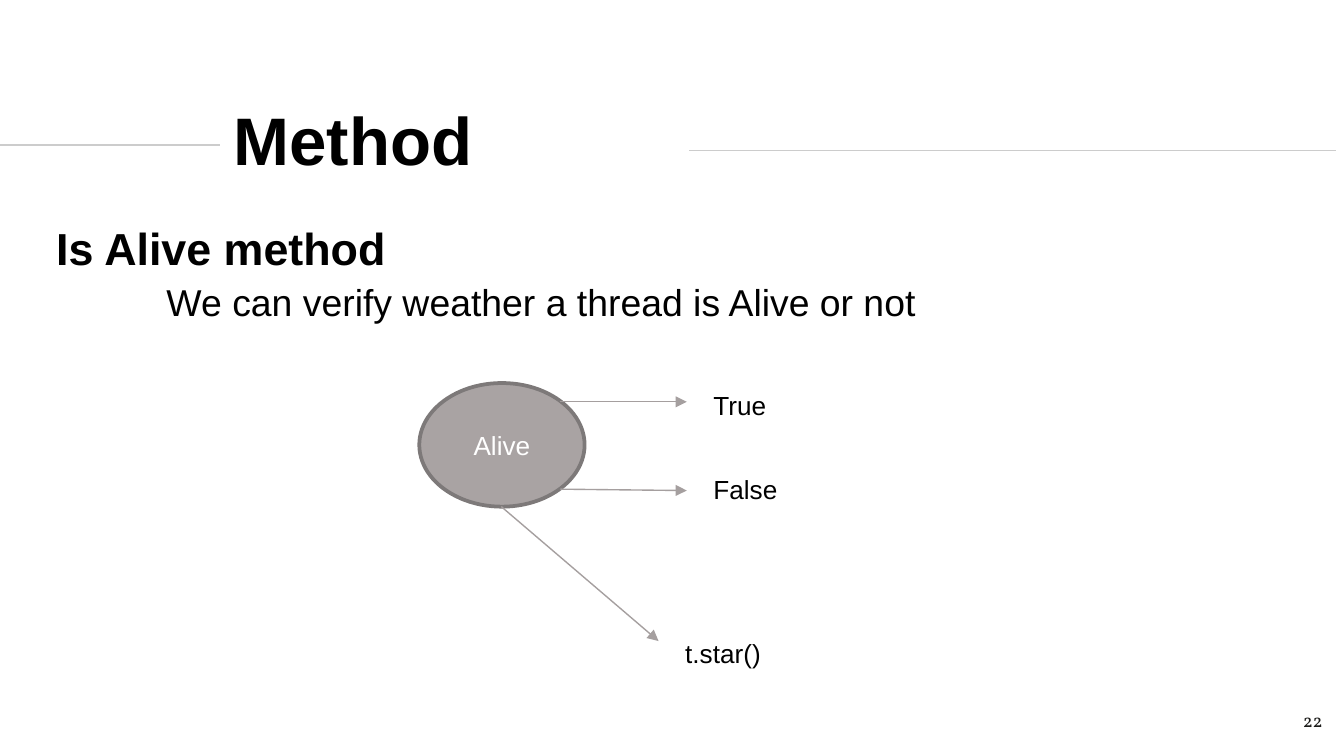
import pptx
import pptx.util
import pptx.dml.color
import pptx.enum.shapes
import pptx.enum.text
import pptx.oxml.ns
import lxml.etree
from pptx.util import Inches

RGBColor = pptx.dml.color.RGBColor
BLACK = RGBColor(0x00, 0x00, 0x00)
WHITE = RGBColor(0xFF, 0xFF, 0xFF)
NUMBER_INK = RGBColor(0x1D, 0x1D, 0x1B)
RULE_GREY = RGBColor(0xCC, 0xCC, 0xCC)
ARROW_GREY = RGBColor(0xA5, 0x9F, 0x9F)
OVAL_FILL = RGBColor(0xA9, 0xA3, 0xA3)
OVAL_LINE = RGBColor(0x7D, 0x79, 0x79)

ALIGN = pptx.enum.text.PP_ALIGN
ANCHOR = pptx.enum.text.MSO_ANCHOR


def write_text(shape, text, size, color=BLACK, bold=False, font="Arial",
               align=ALIGN.LEFT, anchor=ANCHOR.TOP, inset=0.05):
    """Fill a shape with one paragraph; inset is the top and bottom margin in inches."""
    frame = shape.text_frame
    frame.word_wrap = True
    frame.vertical_anchor = anchor
    frame.margin_top = frame.margin_bottom = Inches(inset)
    para = frame.paragraphs[0]
    para.text = text
    para.alignment = align
    para.font.name = font
    para.font.size = pptx.util.Pt(size)
    para.font.bold = bold
    para.font.color.rgb = color


def add_line(start_x, start_y, end_x, end_y, color, arrow=False):
    line = slide.shapes.add_connector(
        pptx.enum.shapes.MSO_CONNECTOR.STRAIGHT,
        Inches(start_x), Inches(start_y), Inches(end_x), Inches(end_y))
    line.line.color.rgb = color
    line.line.width = pptx.util.Pt(0.75)
    if arrow:
        lxml.etree.SubElement(line.line._get_or_add_ln(),
                              pptx.oxml.ns.qn("a:tailEnd"), type="triangle")
    lxml.etree.SubElement(line._element.spPr, pptx.oxml.ns.qn("a:effectLst"))


deck = pptx.Presentation()
deck.slide_width = Inches(10)
deck.slide_height = Inches(10 * 9 / 16)
slide = deck.slides.add_slide(deck.slide_layouts[6])

# Rules on either side of the title
add_line(0, 1.08, 1.64, 1.08, RULE_GREY)
add_line(5.13, 1.12, 9.94, 1.12, RULE_GREY)

# Page number, title and body text
number_box = slide.shapes.add_textbox(Inches(9.34), Inches(5.19), Inches(0.6), Inches(0.43))
write_text(number_box, "22", 10, NUMBER_INK, font="Vollkorn", align=ALIGN.RIGHT, inset=0.12)

heading_box = slide.shapes.add_textbox(Inches(0.32), Inches(1.59), Inches(3.03), Inches(0.5))
write_text(heading_box, "Is Alive method", 24, bold=True)

title_box = slide.shapes.add_textbox(Inches(1.64), Inches(0.79), Inches(4.24), Inches(0.48))
write_text(title_box, "Method", 36, bold=True, anchor=ANCHOR.MIDDLE, inset=0.1)

body_box = slide.shapes.add_textbox(Inches(1.14), Inches(2.03), Inches(6.45), Inches(0.44))
write_text(body_box, "We can verify weather a thread is Alive or not", 20)

# Thread state diagram
oval = slide.shapes.add_shape(pptx.enum.shapes.MSO_SHAPE.OVAL,
                              Inches(3.12), Inches(2.85), Inches(1.23), Inches(0.92))
oval.shadow.inherit = False
oval.fill.solid()
oval.fill.fore_color.rgb = OVAL_FILL
oval.line.color.rgb = OVAL_LINE
oval.line.width = pptx.util.Pt(2)
write_text(oval, "Alive", 14, WHITE, align=ALIGN.CENTER, anchor=ANCHOR.MIDDLE)

# Each outcome: label, label left, top and width, arrow start and end
outcomes = [
    ("True", 5.21, 2.85, 0.74, (4.17, 2.99), (5.11, 2.99)),
    ("False", 5.21, 3.47, 0.74, (4.17, 3.64), (5.11, 3.65)),
    ("t.star()", 5, 4.69, 0.78, (3.73, 3.77), (4.9, 4.77)),
]
for label, left, top, width, start, end in outcomes:
    add_line(*start, *end, ARROW_GREY, arrow=True)
    label_box = slide.shapes.add_textbox(Inches(left), Inches(top), Inches(width), Inches(0.34))
    write_text(label_box, label, 14)

deck.save("out.pptx")
